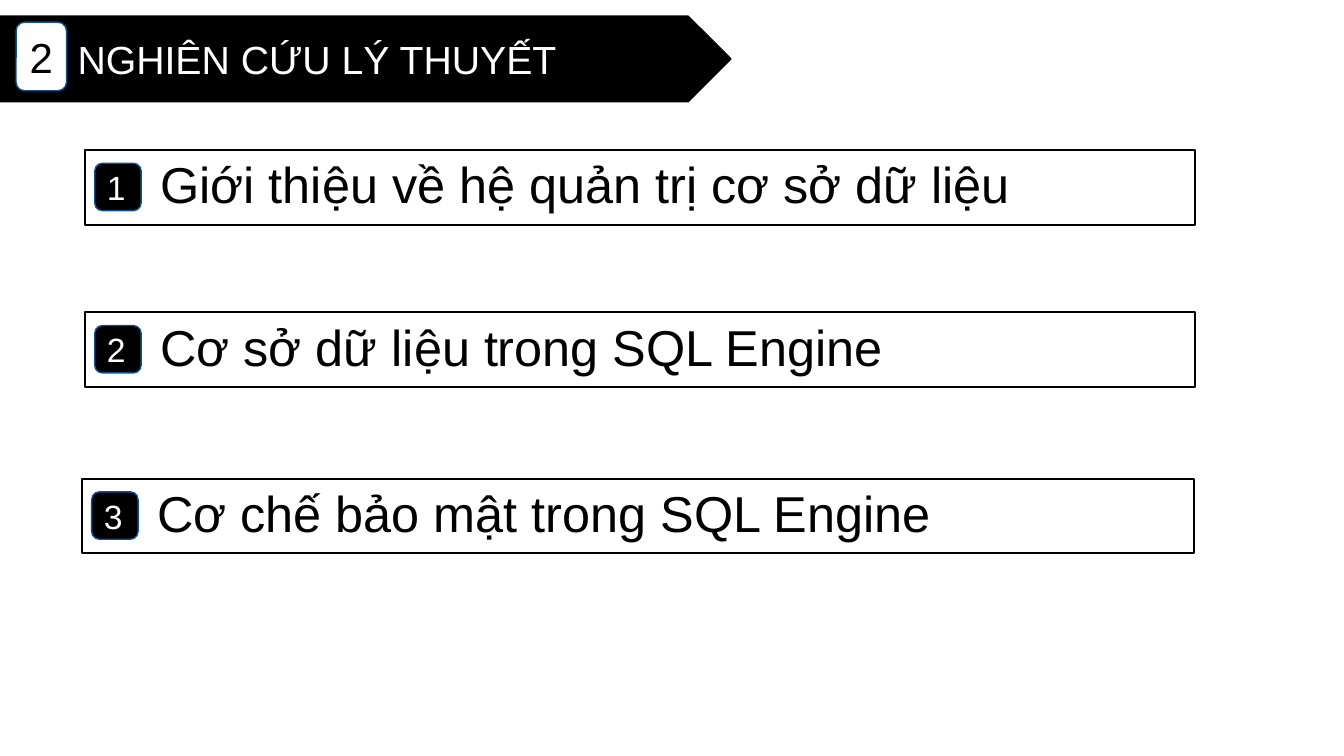
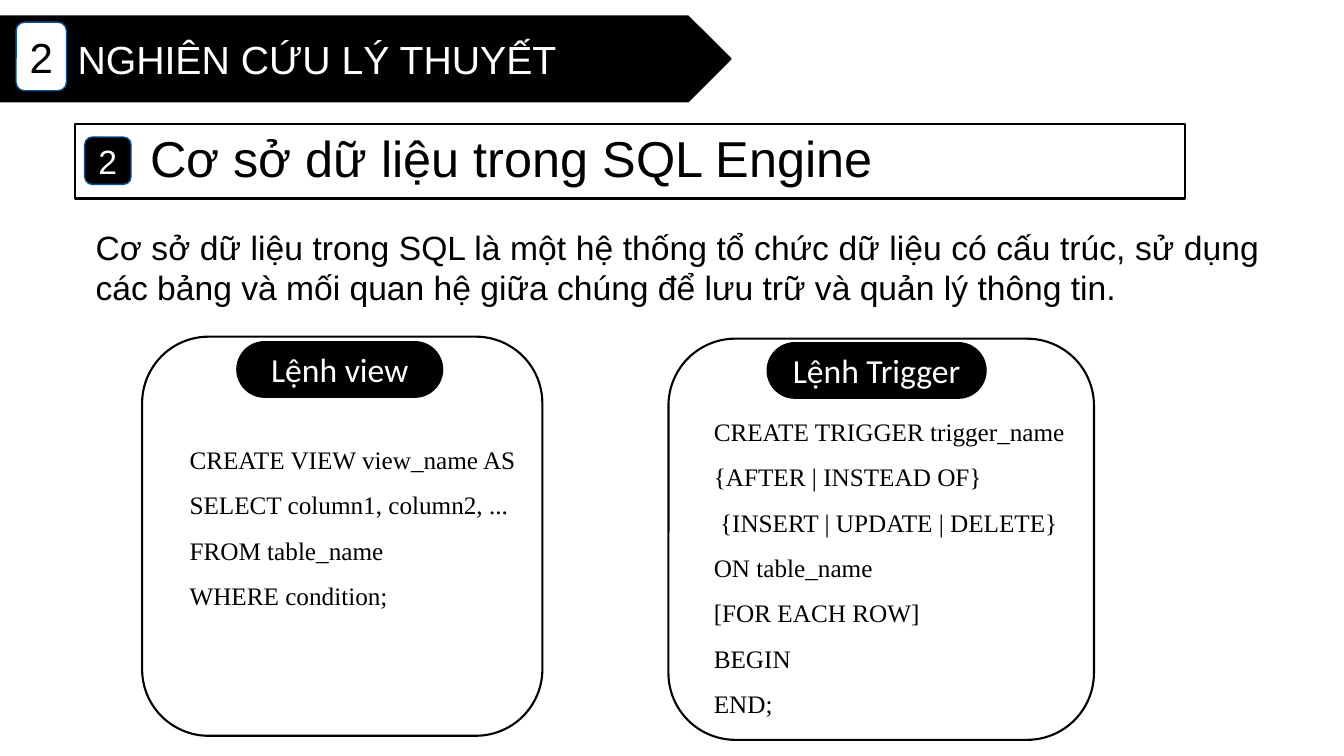
from dataclasses import dataclass

from pptx import Presentation
from pptx.dml.color import RGBColor
from pptx.enum.shapes import MSO_SHAPE
from pptx.enum.text import MSO_ANCHOR, MSO_AUTO_SIZE, PP_ALIGN
from pptx.util import Inches, Pt


@dataclass(frozen=True)
class Theme:
    ink: RGBColor = RGBColor(0x00, 0x00, 0x00)
    paper: RGBColor = RGBColor(0xFF, 0xFF, 0xFF)
    badge_edge: RGBColor = RGBColor(0x0B, 0x52, 0x92)
    sans: str = "Arial"
    label_font: str = "Calibri"
    code_font: str = "Times New Roman"
    heading: int = 36
    chapter: int = 30
    title: int = 28
    body: int = 24
    code: int = 18


THEME = Theme()
CHAPTER = ("2", "NGHIÊN CỨU LÝ THUYẾT")
TOPICS = [
    "Giới thiệu về hệ quản trị cơ sở dữ liệu",
    "Cơ sở dữ liệu trong SQL Engine",
    "Cơ chế bảo mật trong SQL Engine",
]
AGENDA_BOXES = [(0.84, 1.49, 11.01), (0.84, 3.1, 11.01), (0.81, 4.75, 11.03)]
DEFINITION = (
    "Cơ sở dữ liệu trong SQL là một hệ thống tổ chức dữ liệu có cấu trúc, sử dụng "
    "các bảng và mối quan hệ giữa chúng để lưu trữ và quản lý thông tin."
)
VIEW_CODE = [
    "CREATE VIEW view_name AS",
    "SELECT column1, column2, ...",
    "FROM table_name",
    "WHERE condition;",
]
TRIGGER_CODE = [
    "CREATE TRIGGER trigger_name",
    "{AFTER | INSTEAD OF}",
    " {INSERT | UPDATE | DELETE}",
    "ON table_name",
    "[FOR EACH ROW]",
    "BEGIN",
    "END;",
]


def inches(box):
    return [Inches(length) for length in box]


def write(holder, lines, size, color=THEME.ink, font=THEME.sans,
          align=PP_ALIGN.LEFT, spacing=None, indent=0.1):
    """Fill a shape with one formatted paragraph per line."""
    frame = holder.text_frame
    frame.word_wrap = True
    frame.auto_size = MSO_AUTO_SIZE.NONE
    frame.margin_left = Inches(indent)
    for index, line in enumerate(lines):
        paragraph = frame.add_paragraph() if index else frame.paragraphs[0]
        paragraph.alignment = align
        paragraph.line_spacing = spacing
        run = paragraph.add_run()
        run.text = line
        run.font.name = font
        run.font.size = Pt(size)
        run.font.color.rgb = color


def add_panel(slide, preset, box, fill=THEME.paper, edge=THEME.ink, weight=1.5):
    panel = slide.shapes.add_shape(preset, *inches(box))
    panel.shadow.inherit = False
    panel.fill.solid()
    panel.fill.fore_color.rgb = fill
    panel.line.color.rgb = edge
    panel.line.width = Pt(weight)
    panel.text_frame.vertical_anchor = MSO_ANCHOR.MIDDLE
    return panel


def add_badge(slide, number, box, fill, color, size, align=PP_ALIGN.CENTER):
    badge = add_panel(slide, MSO_SHAPE.ROUNDED_RECTANGLE, box, fill,
                      THEME.badge_edge, 1)
    write(badge, [number], size, color, align=align)


def add_text(slide, box, lines, size, **style):
    write(slide.shapes.add_textbox(*inches(box)), lines, size, **style)


def add_chapter_slide(deck):
    """Add a slide with the chapter banner, its title and its number."""
    slide = deck.slides.add_slide(deck.slide_layouts.get_by_name("Title Only"))
    banner_box = (0, 0.16, 7.25, 0.85)
    banner = add_panel(slide, MSO_SHAPE.PENTAGON, banner_box, THEME.ink, weight=1)
    number, name = CHAPTER
    title = slide.shapes.title
    title.left, title.top, title.width, title.height = inches(banner_box)
    title.text_frame.vertical_anchor = MSO_ANCHOR.MIDDLE
    write(title, [name], THEME.title, THEME.paper, indent=0.77)
    banner.element.addnext(title.element)
    add_badge(slide, number, (0.16, 0.22, 0.5, 0.68), THEME.paper, THEME.ink,
              THEME.chapter)
    return slide


def add_topic(slide, index, left, top, width, badge_align=PP_ALIGN.LEFT):
    frame = add_panel(slide, MSO_SHAPE.RECTANGLE, (left, top, width, 0.74))
    write(frame, [TOPICS[index]], THEME.heading, spacing=0.9, indent=0.75)
    add_badge(slide, str(index + 1), (left + 0.1, top + 0.13, 0.46, 0.47),
              THEME.ink, THEME.paper, THEME.body, badge_align)


def add_code_card(slide, label, card_box, label_box, code_box, code):
    add_panel(slide, MSO_SHAPE.ROUNDED_RECTANGLE, card_box)
    pill = add_panel(slide, MSO_SHAPE.ROUNDED_RECTANGLE, label_box, THEME.ink,
                     weight=1)
    pill.adjustments[0] = 0.5
    write(pill, [label], THEME.body, THEME.paper, THEME.label_font,
          PP_ALIGN.CENTER)
    add_text(slide, code_box, code, THEME.code, font=THEME.code_font,
             spacing=1.5, indent=0.6)


def build_agenda(deck):
    slide = add_chapter_slide(deck)
    for index, box in enumerate(AGENDA_BOXES):
        add_topic(slide, index, *box)


def build_database_topic(deck):
    slide = add_chapter_slide(deck)
    add_topic(slide, 1, 0.74, 1.23, 11.01, PP_ALIGN.CENTER)
    add_text(slide, (0.85, 2.2, 11.74, 0.91), [DEFINITION], THEME.body,
             align=PP_ALIGN.JUSTIFY)
    add_code_card(slide, "Lệnh view", (1.41, 3.34, 3.97, 3.96),
                  (2.35, 3.39, 2.04, 0.55), (1.28, 4.21, 4.22, 2.41), VIEW_CODE)
    add_code_card(slide, "Lệnh Trigger", (6.63, 3.36, 4.22, 3.98),
                  (7.61, 3.4, 2.17, 0.55), (6.48, 3.93, 4.44, 3.57), TRIGGER_CODE)


def main():
    deck = Presentation()
    deck.slide_width, deck.slide_height = Inches(13.33), Inches(7.5)
    build_agenda(deck)
    build_database_topic(deck)
    deck.save("out.pptx")


if __name__ == "__main__":
    main()
